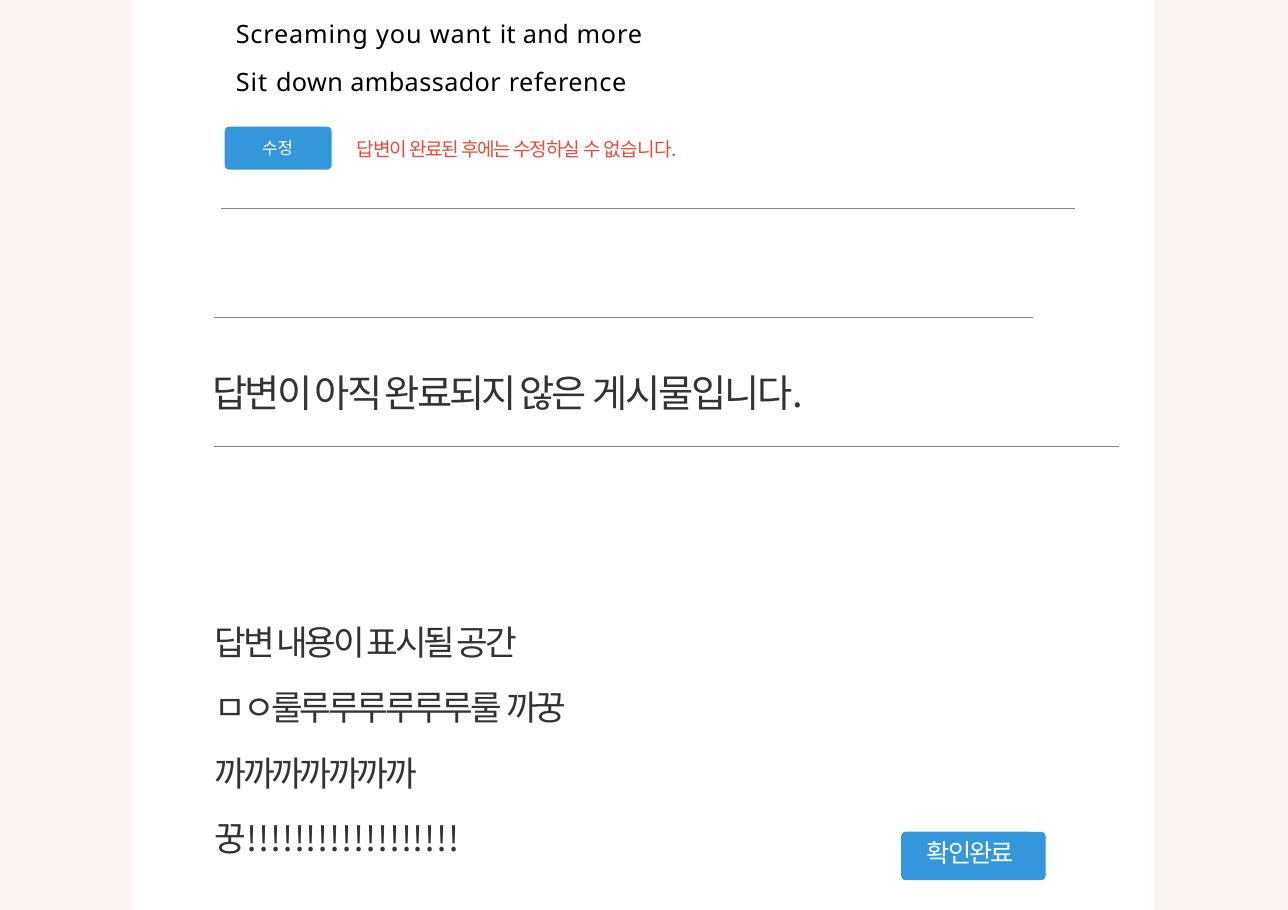
from pptx import Presentation
from pptx.dml.color import RGBColor
from pptx.enum.shapes import MSO_CONNECTOR, MSO_SHAPE
from pptx.oxml.ns import qn
from pptx.util import Inches, Pt
from lxml.etree import SubElement

BLUSH = RGBColor(0xFB, 0xF4, 0xF4)
WHITE = RGBColor(0xFF, 0xFF, 0xFF)
BLUE = RGBColor(0x34, 0x97, 0xDB)
GREY = RGBColor(0x87, 0x87, 0x87)
DARK = RGBColor(0x33, 0x33, 0x33)
RED = RGBColor(0xE6, 0x4B, 0x3B)
BLACK = RGBColor(0, 0, 0)
LATIN = "Noto Sans"
KOREAN = "Noto Sans CJK KR"
PAGE_WIDTH, PAGE_HEIGHT = 11.69, 8.26
CARD_LEFT, CARD_RIGHT = 1.2, 10.48
CORNER = 0.04


def add_block(slide, preset, left, top, width, height, color):
    block = slide.shapes.add_shape(
        preset, Inches(left), Inches(top), Inches(width), Inches(height))
    block.shadow.inherit = False
    block.fill.solid()
    block.fill.fore_color.rgb = color
    block.line.fill.background()
    return block


def add_button(slide, left, top, width, height):
    button = add_block(slide, MSO_SHAPE.ROUNDED_RECTANGLE,
                       left, top, width, height, BLUE)
    button.adjustments[0] = CORNER / height


def add_divider(slide, left, right, y):
    divider = slide.shapes.add_connector(
        MSO_CONNECTOR.STRAIGHT, Inches(left), Inches(y), Inches(right), Inches(y))
    divider.line.color.rgb = GREY
    divider.line.width = Pt(0.7)
    SubElement(divider._element.spPr, qn("a:effectLst"))


def format_run(run, font, size, color, tracking):
    run.font.name = font
    run.font.size = Pt(size)
    run.font.color.rgb = color
    properties = run.font._element
    properties.set("spc", str(round(tracking * 100)))
    SubElement(properties, qn("a:ea")).set("typeface", font)


def add_text(slide, left, top, width, height, lines, size, color,
             font=KOREAN, spacing=None):
    box = slide.shapes.add_textbox(
        Inches(left), Inches(top), Inches(width), Inches(height))
    frame = box.text_frame
    frame.word_wrap = True
    frame.margin_left = frame.margin_right = 0
    frame.margin_top = frame.margin_bottom = 0
    for index, line in enumerate(lines):
        paragraph = frame.add_paragraph() if index else frame.paragraphs[0]
        if spacing:
            paragraph.line_spacing = spacing
        for wording, tracking in line:
            run = paragraph.add_run()
            run.text = wording
            format_run(run, font, size, color, tracking)


def main():
    prs = Presentation()
    prs.slide_width = Inches(PAGE_WIDTH)
    prs.slide_height = Inches(PAGE_HEIGHT)
    slide = prs.slides.add_slide(prs.slide_layouts[6])

    for left, right, color in ((CARD_RIGHT, PAGE_WIDTH, BLUSH),
                               (0, CARD_LEFT, BLUSH),
                               (CARD_LEFT, CARD_RIGHT, WHITE)):
        add_block(slide, MSO_SHAPE.RECTANGLE,
                  left, 0, right - left, PAGE_HEIGHT, color)

    add_button(slide, 2.04, 1.15, 0.97, 0.39)
    add_text(slide, 2.38, 1.25, 0.32, 0.19,
             [[("수", -0.6), ("정", -0.8)]], 11, WHITE)

    question = [
        [("Screaming you want ", 0.6), ("it ", 0.2), ("and ", 0.3), ("more", 0.6)],
        [("Sit ", 0.7), ("down ambassador ", 0.3), ("reference", 0.4)],
    ]
    add_text(slide, 2.14, 0, 3.84, 0.89, question, 16.5, BLACK, LATIN, 1.59)

    for left, right, y in ((2.01, 9.76, 1.89), (1.94, 9.38, 2.88),
                           (1.94, 10.16, 4.05)):
        add_divider(slide, left, right, y)

    status = [[("답변이 아직 완료되지 않은 ", -1.9), ("게시물입니다.", -1.4)]]
    add_text(slide, 1.93, 3.36, 5.9, 0.4, status, 25, DARK, spacing=Pt(29.1))

    answer = [
        [("답변 내용이 표시될 공간", -2.1)],
        [("ㅁㅇ룰루루루루루루룰 ", -2.2), ("까꿍", -2.1)],
        [("까" * 7, -2.2)],
        [("꿍", -2.2), ("!" * 18, 0.5)],
    ]
    add_text(slide, 1.95, 5.42, 4.04, 1.77, answer, 22.5, DARK, spacing=1.58)

    notice = [[("답변이 완료된 후에는 수정하실 ", -0.8), ("수 ", -1),
               ("없습니다.", -0.4)]]
    add_text(slide, 3.24, 1.25, 3.25, 0.21, notice, 12.5, RED)

    add_button(slide, 8.18, 7.55, 1.31, 0.44)
    add_text(slide, 8.41, 7.6, 0.88, 0.27,
             [[("확인완료", -1.1)]], 16.5, WHITE, spacing=Pt(19.5))

    prs.save("out.pptx")


main()
